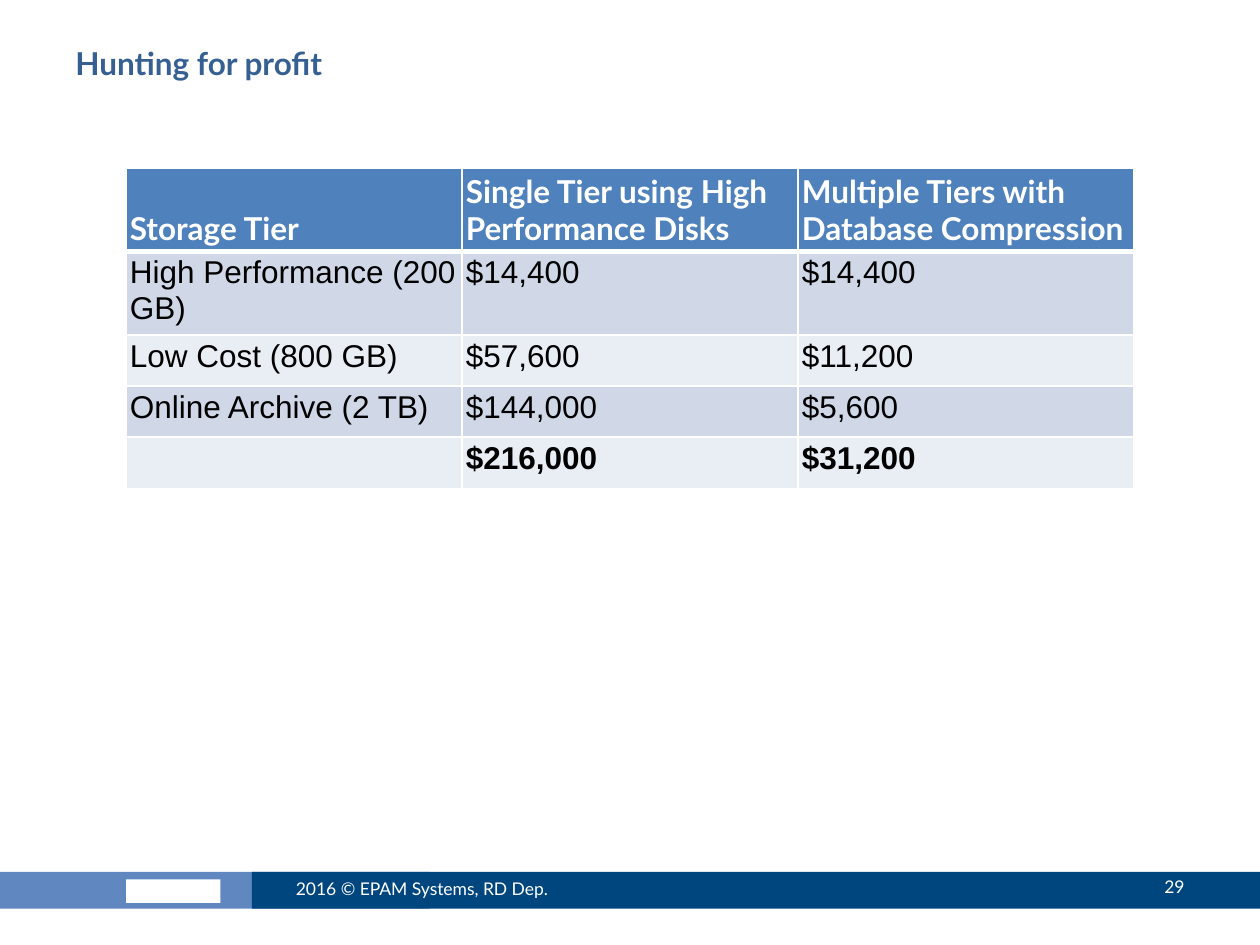
from lxml import etree
from pptx import Presentation
from pptx.dml.color import RGBColor
from pptx.enum.shapes import MSO_SHAPE
from pptx.enum.text import MSO_ANCHOR, PP_ALIGN
from pptx.oxml.ns import qn
from pptx.util import Pt

WHITE = RGBColor(0xFF, 0xFF, 0xFF)
BLACK = RGBColor(0, 0, 0)
TITLE_BLUE = RGBColor(0x37, 0x60, 0x92)
FOOTER_LIGHT = RGBColor(0x60, 0x87, 0xBF)
FOOTER_DARK = RGBColor(0x00, 0x46, 0x7E)
HEADER_BLUE = RGBColor(0x4F, 0x81, 0xBD)
BAND_DARK = RGBColor(0xD0, 0xD8, 0xE8)
BAND_LIGHT = RGBColor(0xE9, 0xED, 0xF4)

RECTANGLE = MSO_SHAPE.RECTANGLE
TOP, MIDDLE, BOTTOM = MSO_ANCHOR.TOP, MSO_ANCHOR.MIDDLE, MSO_ANCHOR.BOTTOM
LEFT, RIGHT = PP_ALIGN.LEFT, PP_ALIGN.RIGHT

COSTS = [
    ["Storage Tier", "Single Tier using High Performance Disks",
     "Multiple Tiers with Database Compression"],
    ["High Performance (200 GB)", "$14,400", "$14,400"],
    ["Low Cost (800 GB)", "$57,600", "$11,200"],
    ["Online Archive (2 TB)", "$144,000", "$5,600"],
    ["", "$216,000", "$31,200"],
]
COLUMN_WIDTH = 192
ROW_HEIGHT = 29.2
CELL_MARGIN = 2.25


def add_run(para, text, size, color, font="Lato", bold=False):
    span = para.add_run()
    span.text = text
    span.font.name = font
    span.font.size = Pt(size)
    span.font.bold = bold
    span.font.color.rgb = color


def add_text(page, left, top, width, height, text, size, color,
             bold=False, anchor=MIDDLE, align=LEFT):
    box = page.shapes.add_textbox(Pt(left), Pt(top), Pt(width), Pt(height))
    frame = box.text_frame
    frame.word_wrap = True
    frame.vertical_anchor = anchor
    para = frame.paragraphs[0]
    para.alignment = align
    add_run(para, text, size, color, bold=bold)


def add_bar(page, left, top, width, height, color):
    bar = page.shapes.add_shape(RECTANGLE, Pt(left), Pt(top), Pt(width), Pt(height))
    bar.shadow.inherit = False
    bar.fill.solid()
    bar.fill.fore_color.rgb = color
    bar.line.fill.background()


def set_borders(cell, bottom_width):
    properties = cell._tc.get_or_add_tcPr()
    for side, width in (("L", 1), ("R", 1), ("T", 1), ("B", bottom_width)):
        line = etree.SubElement(properties, qn(f"a:ln{side}"), w=str(Pt(width)))
        fill = etree.SubElement(line, qn("a:solidFill"))
        etree.SubElement(fill, qn("a:srgbClr"), val=str(WHITE))


def style_cell(cell, fill_color, anchor, bottom_width):
    set_borders(cell, bottom_width)
    cell.fill.solid()
    cell.fill.fore_color.rgb = fill_color
    cell.vertical_anchor = anchor
    cell.margin_left = cell.margin_right = Pt(CELL_MARGIN)
    cell.margin_top = cell.margin_bottom = Pt(CELL_MARGIN)


def add_cost_table(page):
    row_count, column_count = len(COSTS), len(COSTS[0])
    table = page.shapes.add_table(
        row_count, column_count, Pt(72), Pt(96),
        Pt(COLUMN_WIDTH * column_count), Pt(ROW_HEIGHT * row_count)).table
    for column in table.columns:
        column.width = Pt(COLUMN_WIDTH)
    for row_index, texts in enumerate(COSTS):
        table.rows[row_index].height = Pt(ROW_HEIGHT)
        is_header = row_index == 0
        is_total = row_index == row_count - 1
        band = BAND_DARK if row_index % 2 else BAND_LIGHT
        for column_index, text in enumerate(texts):
            cell = table.cell(row_index, column_index)
            para = cell.text_frame.paragraphs[0]
            if is_header:
                style_cell(cell, HEADER_BLUE, BOTTOM, 3)
                add_run(para, text, 18, WHITE, bold=True)
            else:
                style_cell(cell, band, TOP, 1)
                if text:
                    add_run(para, text, 18, BLACK, "Arial", is_total)


def add_footer(page):
    add_bar(page, -1.5, 498.2, 247, 21, FOOTER_LIGHT)
    add_bar(page, 72, 502.5, 54, 13.5, WHITE)
    add_bar(page, 144, 498.2, 576, 21, FOOTER_DARK)
    add_text(page, 162, 493.5, 192, 28.8, "2016 © EPAM Systems, RD Dep.", 10, WHITE)
    add_text(page, 606, 492, 78, 28.8, "29", 10, WHITE, align=RIGHT)


def main():
    deck = Presentation()
    deck.slide_width, deck.slide_height = Pt(720), Pt(540)
    page = deck.slides.add_slide(deck.slide_layouts[6])
    add_footer(page)
    add_text(page, 36, 21.6, 648, 56, "Hunting for profit", 18, TITLE_BLUE,
             bold=True, anchor=TOP)
    add_cost_table(page)
    deck.save("out.pptx")


if __name__ == "__main__":
    main()
